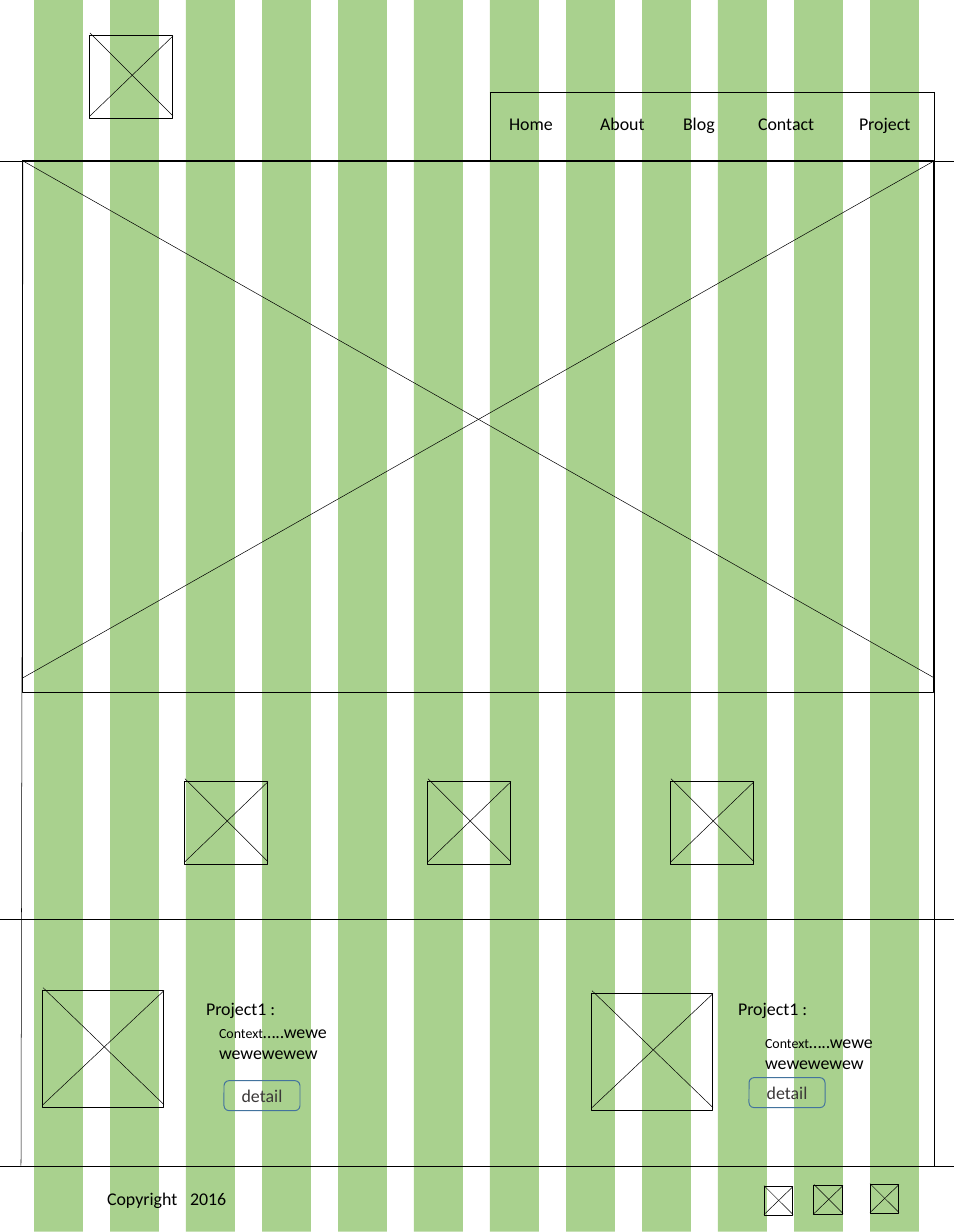
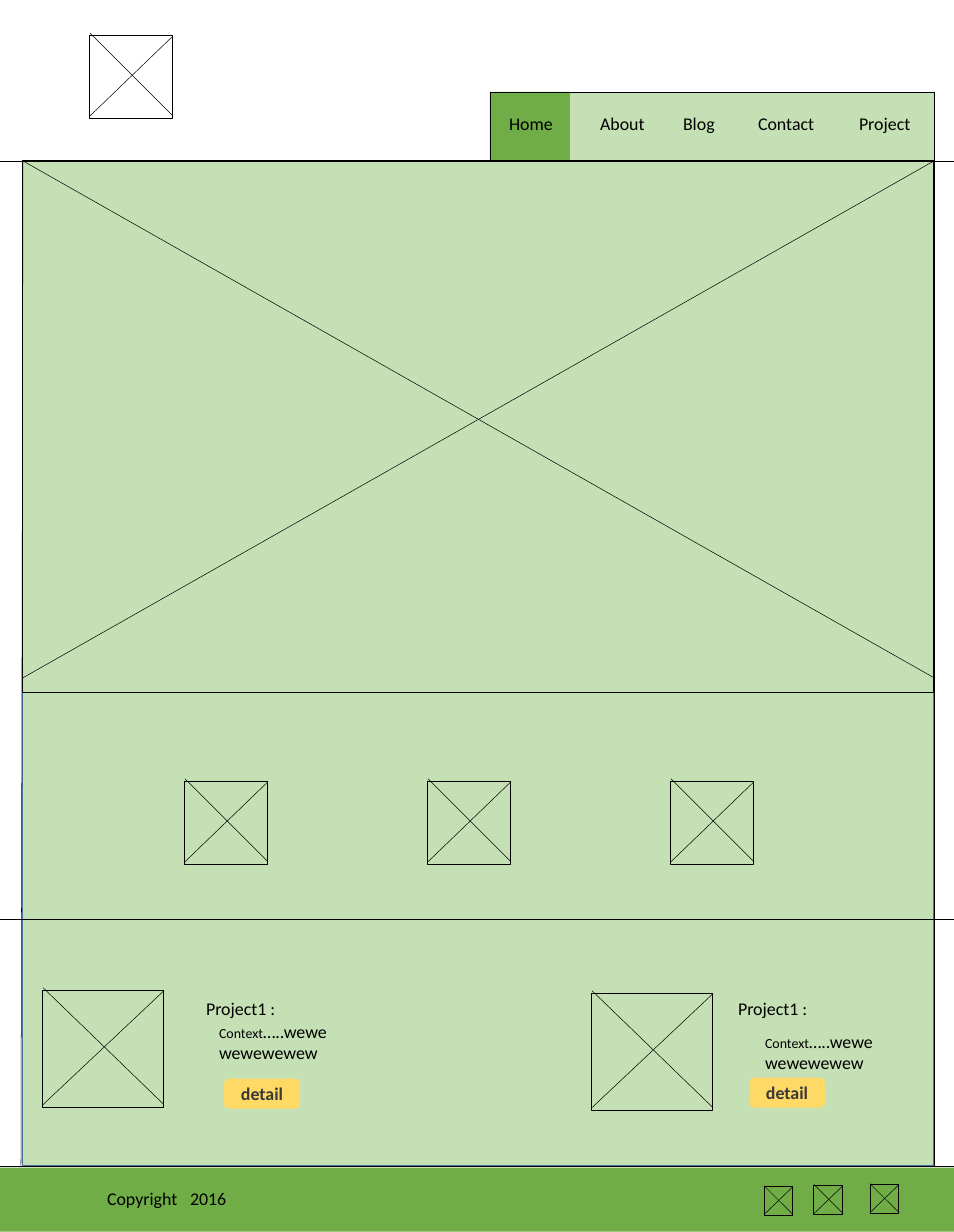
from dataclasses import dataclass

from lxml.etree import SubElement
from pptx import Presentation
from pptx.dml.color import RGBColor
from pptx.enum.shapes import MSO_CONNECTOR, MSO_SHAPE
from pptx.enum.text import MSO_ANCHOR, MSO_AUTO_SIZE, PP_ALIGN
from pptx.oxml.ns import qn
from pptx.util import Inches, Pt

PAGE_W, PAGE_H = 954, 1232
SCALE = Inches(13.33) / PAGE_W


@dataclass(frozen=True)
class Theme:
    ink: str = "000000"
    button_ink: str = "3B3838"
    button_edge: str = "43739E"
    button_fill: str = "FFD966"
    stripe: str = "A9D18E"
    strong: str = "70AD47"
    soft: str = "C5E0B4"
    font: str = "Calibri"
    body: int = 18
    small: int = 14
    frame: float = 1
    rule: float = 0.5


THEME = Theme()


@dataclass(frozen=True)
class Box:
    x: int
    y: int
    w: int
    h: int

    @property
    def right(self):
        return self.x + self.w

    @property
    def bottom(self):
        return self.y + self.h

    def inner(self, dx, dy, w, h):
        return Box(self.x + dx, self.y + dy, w, h)

    def emu(self):
        return [px(length) for length in (self.x, self.y, self.w, self.h)]


def px(length):
    return round(length * SCALE)


# Basic parts
def block(shapes, box, fill=None, edge=None, preset=MSO_SHAPE.RECTANGLE):
    panel = shapes.add_shape(preset, *box.emu())
    panel.shadow.inherit = False
    if fill:
        panel.fill.solid()
        panel.fill.fore_color.rgb = RGBColor.from_string(fill)
    else:
        panel.fill.background()
    if edge:
        panel.line.color.rgb = RGBColor.from_string(edge)
        panel.line.width = Pt(THEME.frame)
    else:
        panel.line.fill.background()
    return panel


def rule(shapes, x1, y1, x2, y2):
    line = shapes.add_connector(MSO_CONNECTOR.STRAIGHT, px(x1), px(y1), px(x2), px(y2))
    line.line.color.rgb = RGBColor.from_string(THEME.ink)
    line.line.width = Pt(THEME.rule)
    SubElement(line._element.spPr, qn("a:effectLst"))


def add_run(paragraph, words, size=THEME.body, color=THEME.ink, bold=False):
    run = paragraph.add_run()
    run.text = words
    run.font.name = THEME.font
    run.font.size = Pt(size)
    run.font.bold = bold
    run.font.color.rgb = RGBColor.from_string(color)


def label(slide, box, *runs, wrap=False):
    frame = slide.shapes.add_textbox(*box.emu()).text_frame
    frame.word_wrap = wrap
    frame.auto_size = MSO_AUTO_SIZE.SHAPE_TO_FIT_TEXT
    paragraph = frame.paragraphs[0]
    for words, size in runs:
        add_run(paragraph, words, size)
    return paragraph


def crossed_box(slide, box, lift=0, gap=None):
    """Frame with two diagonals: lift is the overshoot on top, gap the rest below."""
    gap = lift if gap is None else gap
    shapes = slide.shapes.add_group_shape().shapes
    block(shapes, box, edge=THEME.ink)
    rule(shapes, box.x, box.y - lift, box.right, box.bottom - gap)
    rule(shapes, box.x, box.bottom - gap, box.right, box.y)


# Backgrounds
def striped_background(slide, box):
    count, first, pitch, width = 12, 34, 76, 49
    shapes = slide.shapes.add_group_shape().shapes
    for column in range(count):
        block(shapes, box.inner(first + column * pitch, 0, width, box.h), THEME.stripe)


def coloured_background(slide, nav, body, footer):
    home_width = 80
    block(slide.shapes, footer, THEME.strong)
    block(slide.shapes, nav.inner(0, 0, home_width, nav.h), THEME.strong)
    block(slide.shapes, nav.inner(home_width, 1, nav.w - home_width, nav.h - 1), THEME.soft)
    block(slide.shapes, body, THEME.soft, THEME.button_edge)


# Regions
def navigation(slide, box):
    entries = [("Home", 12, 59), ("About", 103, 59), ("Blog", 186, 47),
               ("Contact", 261, 71), ("Project", 362, 67)]
    for name, dx, width in entries:
        label(slide, box.inner(dx, 17, width, 29), (name, THEME.body))
    rule(slide.shapes, box.x, box.y, box.right, box.y)
    rule(slide.shapes, box.x, box.bottom, box.x, box.y)


def feature_row(slide, box):
    size, pitch = 83, 243
    for column in range(3):
        crossed_box(slide, box.inner(column * pitch, 0, size, size), lift=3)


def detail_button(slide, box, coloured):
    fill, edge = (THEME.button_fill, None) if coloured else (None, THEME.button_edge)
    button = block(slide.shapes, box, fill, edge, MSO_SHAPE.ROUNDED_RECTANGLE)
    frame = button.text_frame
    frame.vertical_anchor = MSO_ANCHOR.MIDDLE
    frame.paragraphs[0].alignment = PP_ALIGN.CENTER
    add_run(frame.paragraphs[0], "detail", color=THEME.button_ink, bold=coloured)


def project(slide, box, title_at, context_at, button_at, coloured):
    crossed_box(slide, box, lift=3)
    label(slide, box.inner(*title_at, 84, 29), ("Project1 :", THEME.body))
    label(slide, box.inner(*context_at, 127, 51), ("Context", THEME.small),
          ("…..wewewewewewew", THEME.body), wrap=True)
    detail_button(slide, box.inner(*button_at, 76, 30), coloured)


def footer_content(slide, box):
    copyright_line = label(slide, box.inner(100, 16, 145, 29),
                           ("Copyright\t2016", THEME.body), wrap=True)
    tabs = SubElement(copyright_line._p.get_or_add_pPr(), qn("a:tabLst"))
    SubElement(tabs, qn("a:tab"), pos=str(px(83)), algn="l")
    for dx, dy in ((764, 19), (814, 18), (870, 17)):
        crossed_box(slide, box.inner(dx, dy, 29, 29), lift=1)


# Whole page
def wireframe(deck, coloured):
    slide = deck.slides.add_slide(deck.slide_layouts[6])
    page = Box(0, 0, PAGE_W, PAGE_H)
    nav = Box(490, 92, 444, 69)
    body = Box(23, 161, 911, 1005)
    footer = Box(0, 1168, PAGE_W, 64)

    if coloured:
        coloured_background(slide, nav, body, footer)
    else:
        striped_background(slide, page)

    # Section rules and page edges
    for y in (body.y, 920, 1167):
        rule(slide.shapes, page.x, y, page.right, y)
    rule(slide.shapes, body.x, body.y, body.x - 2, body.bottom)
    rule(slide.shapes, body.right, nav.y, body.right, body.bottom)

    # Logo, menu, hero and features
    crossed_box(slide, Box(90, 36, 83, 83), lift=3)
    navigation(slide, nav)
    crossed_box(slide, body.inner(0, 0, body.w, 532), gap=15)
    feature_row(slide, Box(185, 782, 569, 83))

    # Projects and footer
    project(slide, Box(43, 991, 121, 117), (156, 3), (169, 26),
            (181, 88 if coloured else 90), coloured)
    project(slide, Box(592, 994, 121, 117), (139, 0), (166, 33), (157, 84), coloured)
    footer_content(slide, footer)


deck = Presentation()
deck.slide_width, deck.slide_height = Inches(13.33), Inches(17.22)
for coloured in (False, True):
    wireframe(deck, coloured)
deck.save("out.pptx")
